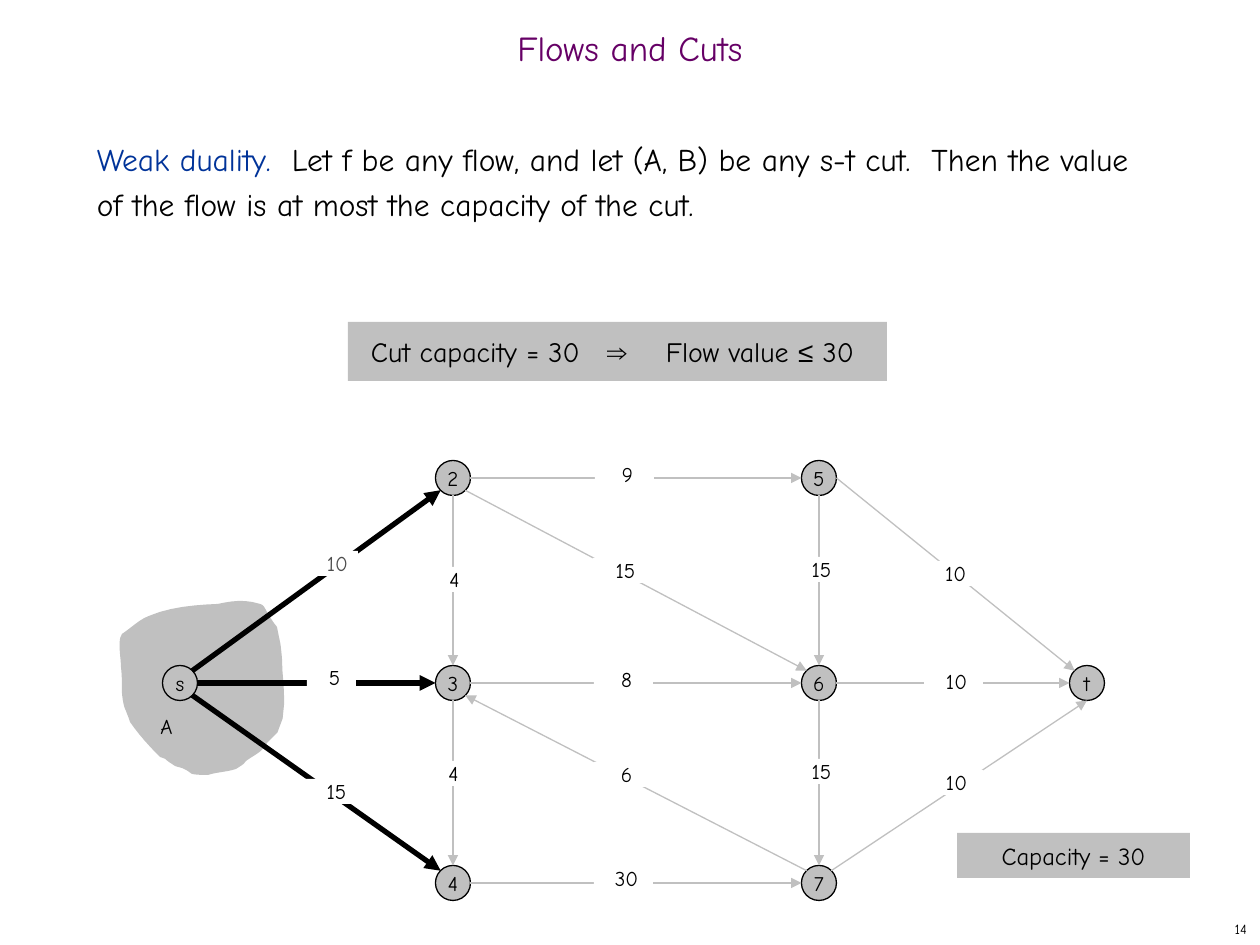
import typing

import lxml.etree
import pptx
import pptx.dml.color
import pptx.enum.shapes
import pptx.enum.text
import pptx.oxml.ns
import pptx.util

RGB = pptx.dml.color.RGBColor
BLACK = RGB(0x00, 0x00, 0x00)
WHITE = RGB(0xFF, 0xFF, 0xFF)
GRAY = RGB(0xC0, 0xC0, 0xC0)
DARK = RGB(0x4D, 0x4D, 0x4D)
PURPLE = RGB(0x66, 0x00, 0x66)
BLUE = RGB(0x00, 0x33, 0x99)

FACE = "Comic Neue"
SCALE = 914400 / 126  # EMU in one px
WIDE, HIGH = 1260, 945
SIZE = 35  # node diameter
ROWS = (478, 683, 883)
COLS = (180, 453, 819, 1087)

ALIGN = pptx.enum.text.PP_ALIGN
ANCHOR = pptx.enum.text.MSO_ANCHOR
SHAPE = pptx.enum.shapes.MSO_SHAPE
qn = pptx.oxml.ns.qn


class Run(typing.NamedTuple):
    words: str
    hue: RGB = BLACK
    face: str = FACE


class Box(typing.NamedTuple):
    left: int
    top: int
    width: int
    height: int


class Node(typing.NamedTuple):
    name: str
    col: int
    row: int


class Edge(typing.NamedTuple):
    """An arrow; out and into tell on which side it leaves and arrives."""
    start: str
    end: str
    out: tuple[int, int]
    into: tuple[int, int]
    bold: bool = False


class Label(typing.NamedTuple):
    words: str
    mid: int
    top: int
    width: int = 59
    shift: int = 6
    hue: RGB = BLACK


NODES = [
    Node("s", 0, 1), Node("2", 1, 0), Node("3", 1, 1), Node("4", 1, 2),
    Node("5", 2, 0), Node("6", 2, 1), Node("7", 2, 2), Node("t", 3, 1),
]
EAST, WEST, NORTH, SOUTH = (1, 0), (-1, 0), (0, -1), (0, 1)
NE, NW, SE, SW = (1, -1), (-1, -1), (1, 1), (-1, 1)
EDGES = [
    Edge("s", "2", NE, SW, True), Edge("s", "3", EAST, WEST, True),
    Edge("s", "4", SE, NW, True), Edge("3", "6", EAST, WEST),
    Edge("7", "3", NW, SE), Edge("3", "4", SOUTH, NORTH),
    Edge("2", "5", EAST, WEST), Edge("4", "7", EAST, WEST),
    Edge("2", "3", SOUTH, NORTH), Edge("6", "7", SOUTH, NORTH),
    Edge("5", "6", SOUTH, NORTH), Edge("2", "6", SE, NW),
    Edge("5", "t", EAST, NW), Edge("6", "t", EAST, WEST),
    Edge("7", "t", NE, SOUTH),
]
LABELS = [
    Label("15", 333, 779), Label("5", 331, 665, width=49),
    Label("30", 623, 866), Label("15", 818, 759),
    Label("10", 328, 551, shift=18, hue=DARK), Label("8", 623, 667),
    Label("15", 622, 558), Label("9", 624, 462), Label("6", 623, 762),
    Label("10", 953, 770), Label("10", 953, 669),
    Label("10", 946, 561, shift=18), Label("15", 818, 557),
    Label("4", 451, 567), Label("4", 450, 761),
]
# Outline of set A: a start point, then two handles and an end per curve
START = (122, 634)
CURVES = [
    (130, 629, 140, 619, 149, 616), (170, 607, 195, 605, 218, 604),
    (232, 601, 244, 599, 260, 604), (265, 605, 266, 612, 270, 617),
    (272, 621, 277, 627, 277, 627), (281, 648, 280, 638, 282, 658),
    (281, 679, 294, 727, 267, 743), (262, 751, 260, 752, 252, 757),
    (239, 765, 251, 760, 236, 769), (228, 772, 217, 772, 208, 775),
    (203, 775, 197, 775, 192, 774), (189, 772, 188, 771, 186, 770),
    (181, 767, 180, 768, 175, 766), (159, 756, 171, 761, 160, 757),
    (149, 746, 139, 735, 130, 722), (129, 718, 127, 714, 126, 711),
    (123, 706, 122, 693, 122, 693), (122, 684, 122, 675, 121, 667),
    (121, 656, 117, 641, 122, 634),
]


def px(num: float) -> int:
    return round(num * SCALE)


def write(shape, text: str | list[Run], *, size=12, hue=BLACK, align=ALIGN.CENTER,
          anchor=ANCHOR.TOP, pad=(0, 0, 0, 0), wrap=True, space=None, tabs=()) -> None:
    """Fill a shape with one paragraph; pad is left, top, right, bottom."""
    frame = shape.text_frame
    frame.word_wrap = wrap
    frame.vertical_anchor = anchor
    (frame.margin_left, frame.margin_top,
     frame.margin_right, frame.margin_bottom) = map(px, pad)
    para = frame.paragraphs[0]
    if tabs:
        stops = lxml.etree.SubElement(para._p.get_or_add_pPr(), qn("a:tabLst"))
        for stop in tabs:
            lxml.etree.SubElement(stops, qn("a:tab"), pos=str(px(stop)), algn="l")
    para.alignment = align
    if space:
        para.line_spacing = space
    for part in [Run(text, hue)] if isinstance(text, str) else text:
        run = para.add_run()
        run.text = part.words
        run.font.size = pptx.util.Pt(size)
        run.font.name = part.face
        run.font.color.rgb = part.hue


def paint(shape, fill: RGB, line: RGB | None = None) -> None:
    shape.shadow.inherit = False
    shape.fill.solid()
    shape.fill.fore_color.rgb = fill
    if line is None:
        shape.line.fill.background()
    else:
        shape.line.color.rgb = line
        shape.line.width = pptx.util.Pt(0.75)


def add_text(slide, box: Box, text: str | list[Run], **style) -> None:
    write(slide.shapes.add_textbox(*map(px, box)), text, **style)


def add_rect(slide, box: Box, fill: RGB, text: str | list[Run], **style) -> None:
    rect = slide.shapes.add_shape(SHAPE.RECTANGLE, *map(px, box))
    paint(rect, fill)
    write(rect, text, **style)


def add_node(slide, node: Node) -> None:
    left, top = COLS[node.col] - SIZE / 2, ROWS[node.row] - SIZE / 2
    disk = slide.shapes.add_shape(SHAPE.OVAL, px(left), px(top), px(SIZE), px(SIZE))
    paint(disk, GRAY, BLACK)
    write(disk, node.name, anchor=ANCHOR.MIDDLE, wrap=False)


def port(node: Node, side: tuple[int, int]) -> tuple[int, int]:
    """Point on the rim of a node, on a straight or a diagonal side."""
    reach = SIZE / 2 * (0.7 if all(side) else 1)
    return px(COLS[node.col] + reach * side[0]), px(ROWS[node.row] + reach * side[1])


def add_edge(slide, edge: Edge, nodes: dict[str, Node]) -> None:
    line = slide.shapes.add_connector(
        pptx.enum.shapes.MSO_CONNECTOR.STRAIGHT,
        *port(nodes[edge.start], edge.out), *port(nodes[edge.end], edge.into))
    line.line.color.rgb = BLACK if edge.bold else GRAY
    line.line.width = pptx.util.Pt(3 if edge.bold else 0.75)
    lxml.etree.SubElement(line.line._get_or_add_ln(), qn("a:tailEnd"), type="triangle")
    lxml.etree.SubElement(line._element.spPr, qn("a:effectLst"))


def add_blob(slide, steps: int = 6) -> None:
    points, (x, y) = [], START
    for ax, ay, bx, by, cx, cy in CURVES:
        for step in range(1, steps + 1):
            t = step / steps
            u = 1 - t
            mix = (u ** 3, 3 * u * u * t, 3 * u * t * t, t ** 3)
            points.append(tuple(px(sum(m * v for m, v in zip(mix, axis)))
                                for axis in ((x, ax, bx, cx), (y, ay, by, cy))))
        x, y = cx, cy
    pen = slide.shapes.build_freeform(px(START[0]), px(START[1]))
    pen.add_line_segments(points, close=True)
    paint(pen.convert_to_shape(), GRAY)


def main() -> None:
    deck = pptx.Presentation()
    deck.slide_width, deck.slide_height = px(WIDE), px(HIGH)
    slide = deck.slides.add_slide(deck.slide_layouts[6])
    pad = (13, 6, 13, 6)

    add_text(slide, Box(998, 913, 262, 32), "14", size=8, align=ALIGN.RIGHT,
             anchor=ANCHOR.MIDDLE, pad=pad)
    add_text(slide, Box(0, 21, WIDE, 63), "Flows and Cuts", size=20, hue=PURPLE,
             anchor=ANCHOR.MIDDLE, pad=pad, space=0.7)
    add_text(slide, Box(84, 126, 1081, 746), [
        Run("Weak duality.", BLUE),
        Run("  Let f be any flow, and let (A, B) be any s-t cut.  Then the value "
            "of the flow is at most the capacity of the cut."),
    ], size=18, align=ALIGN.LEFT, pad=pad, space=pptx.util.Pt(26))
    add_rect(slide, Box(348, 322, 539, 59), GRAY, [
        Run("Cut capacity = 30\t"), Run("⇒", face="Arial"), Run("\tFlow value "),
        Run("≤", face="Arial"), Run(" 30"),
    ], size=16, align=ALIGN.LEFT, anchor=ANCHOR.MIDDLE, pad=(23, 13, 0, 13),
        tabs=(236, 295))

    add_blob(slide)
    for node in NODES:
        add_node(slide, node)
    nodes = {node.name: node for node in NODES}
    for edge in EDGES:
        add_edge(slide, edge, nodes)
    for tag in LABELS:
        box = Box(tag.mid - tag.width // 2, tag.top, tag.width, 25)
        add_rect(slide, box, WHITE, tag.words, hue=tag.hue, pad=(tag.shift, 0, 0, 0))

    add_rect(slide, Box(957, 833, 233, 45), GRAY, "Capacity = 30", size=14,
             anchor=ANCHOR.MIDDLE, pad=(13, 13, 13, 13))
    add_text(slide, Box(160, 714, 13, 25), "A", wrap=False)
    deck.save("out.pptx")


if __name__ == "__main__":
    main()
